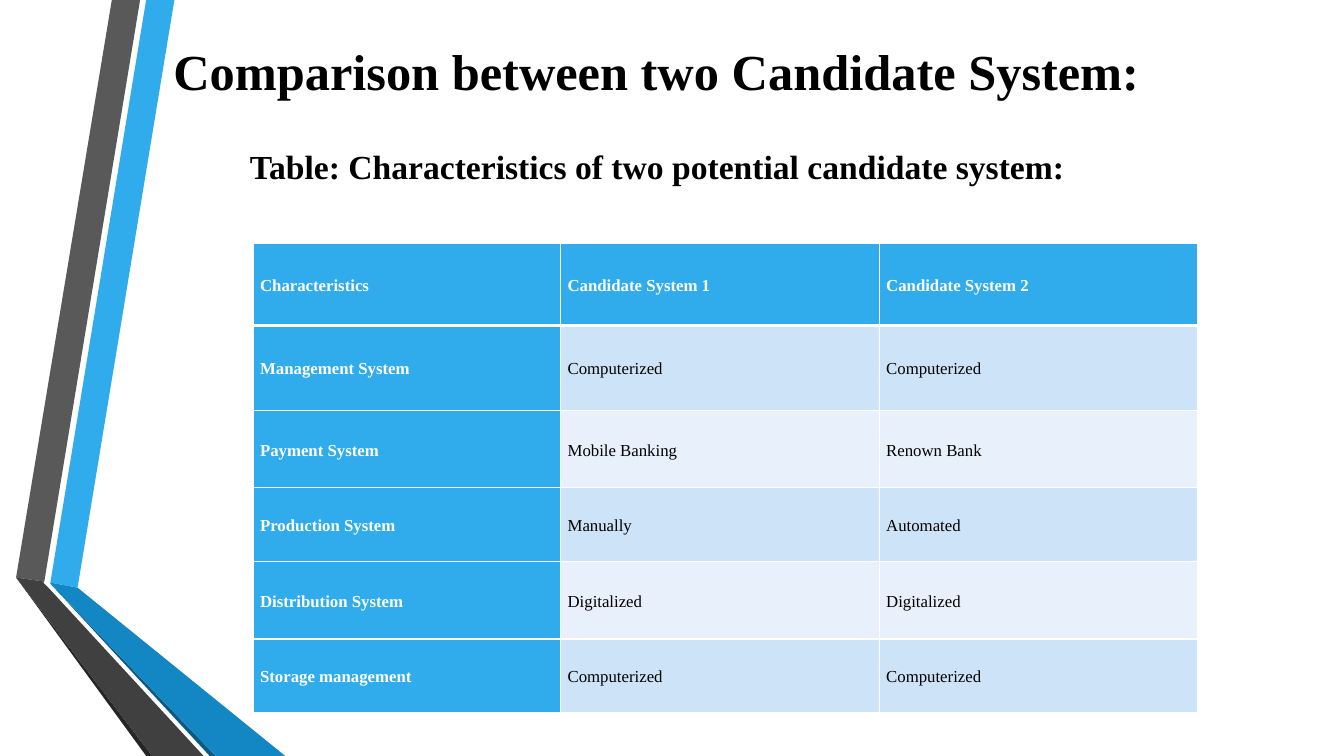
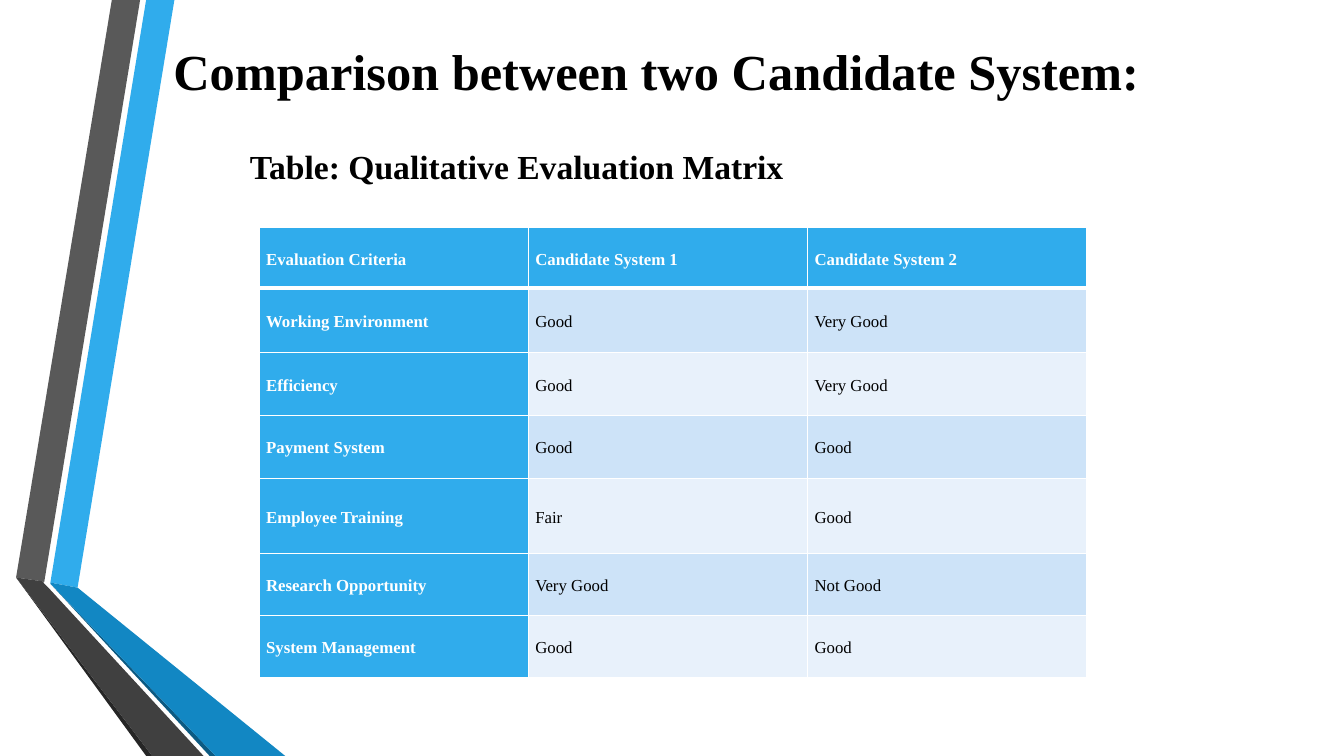
from lxml import etree
from pptx import Presentation
from pptx.dml.color import RGBColor
from pptx.enum.text import MSO_ANCHOR, PP_ALIGN
from pptx.oxml.ns import qn
from pptx.util import Inches, Pt

MIDDLE = MSO_ANCHOR.MIDDLE
JUSTIFY = PP_ALIGN.JUSTIFY
BLANK_LAYOUT = 6

# Colours
BLACK = RGBColor(0x00, 0x00, 0x00)
WHITE = RGBColor(0xFF, 0xFF, 0xFF)
BLUE = RGBColor(0x30, 0xAC, 0xEC)
MID_BLUE = RGBColor(0x12, 0x87, 0xC3)
DEEP_BLUE = RGBColor(0x0C, 0x5A, 0x82)
GREY = RGBColor(0x59, 0x59, 0x59)
DARK_GREY = RGBColor(0x40, 0x40, 0x40)
CHARCOAL = RGBColor(0x26, 0x26, 0x26)
ROW_TINTS = (RGBColor(0xCD, 0xE3, 0xF8), RGBColor(0xE8, 0xF1, 0xFB))

# Folded ribbons at the left edge, back to front, as outlines in inches
RIBBONS = (
    (BLUE, ((0.5, 5.78), (0.77, 5.83), (1.73, 0), (1.45, 0))),
    (GREY, ((1.39, 0), (1.11, 0), (0.16, 5.73), (0.44, 5.77))),
    (CHARCOAL, ((0.16, 5.73), (1.45, 7.5), (1.51, 7.5))),
    (DEEP_BLUE, ((0.5, 5.79), (2.08, 7.5), (2.14, 7.5))),
    (MID_BLUE, ((0.5, 5.79), (2.14, 7.5), (2.83, 7.5), (0.77, 5.83), (0.5, 5.78))),
    (DARK_GREY, ((2.02, 7.5), (0.48, 5.83), (0.43, 5.78), (0.44, 5.77),
                 (0.16, 5.73), (1.51, 7.5))),
)


class Deck:
    font_name = "Times New Roman"

    def __init__(self):
        self.presentation = Presentation()
        self.presentation.slide_width = Inches(13.33)
        self.presentation.slide_height = Inches(7.5)
        self.slide = None

    def add_slide(self, title):
        layout = self.presentation.slide_layouts[BLANK_LAYOUT]
        self.slide = self.presentation.slides.add_slide(layout)
        for color, points in RIBBONS:
            self.add_ribbon(color, points)
        self.add_text(title, 1.62, 0.35, 10.38, 0.71, 36)

    def add_ribbon(self, color, points):
        corners = [(Inches(x), Inches(y)) for x, y in points]
        builder = self.slide.shapes.build_freeform(*corners[0])
        builder.add_line_segments(corners[1:], close=True)
        shape = builder.convert_to_shape()
        shape.shadow.inherit = False
        shape.fill.solid()
        shape.fill.fore_color.rgb = color
        shape.line.fill.background()

    def style_paragraph(self, paragraph, size, color=BLACK, bold=True):
        font = paragraph.font
        font.name = self.font_name
        font.size = Pt(size)
        font.bold = bold
        font.color.rgb = color

    def add_text(self, text, left, top, width, height, size):
        box = self.slide.shapes.add_textbox(
            Inches(left), Inches(top), Inches(width), Inches(height))
        frame = box.text_frame
        frame.word_wrap = True
        frame.text = text
        self.style_paragraph(frame.paragraphs[0], size)

    def add_subtitle(self, text):
        self.add_text(text, 2.38, 1.4, 8.56, 0.5, 24)

    def add_table(self, left, top, column_widths, row_heights, rows):
        table = self.slide.shapes.add_table(
            len(rows), len(column_widths), Inches(left), Inches(top),
            Inches(sum(column_widths)), Inches(sum(row_heights))).table
        table.first_col = True
        for column, width in zip(table.columns, column_widths):
            column.width = Inches(width)
        for row, height in zip(table.rows, row_heights):
            row.height = Inches(height)
        for row_index, texts in enumerate(rows):
            for column_index, text in enumerate(texts):
                cell = table.cell(row_index, column_index)
                self.fill_cell(cell, text, row_index, column_index)

    def fill_cell(self, cell, text, row_index, column_index):
        is_heading = row_index == 0 or column_index == 0
        cell.margin_left = cell.margin_right = Inches(0.07)
        cell.margin_top = cell.margin_bottom = 0
        cell.vertical_anchor = MIDDLE
        # The rule under the heading row is thicker than the others
        self.add_borders(cell, top=3 if row_index == 1 else 1,
                         bottom=3 if row_index == 0 else 1)
        cell.fill.solid()
        cell.fill.fore_color.rgb = BLUE if is_heading else ROW_TINTS[(row_index - 1) % 2]
        cell.text = text
        paragraph = cell.text_frame.paragraphs[0]
        paragraph.alignment = JUSTIFY
        paragraph.line_spacing = 1.15
        self.style_paragraph(paragraph, 12, WHITE if is_heading else BLACK, is_heading)

    def add_borders(self, cell, top, bottom):
        properties = cell._tc.get_or_add_tcPr()
        for side, width in (("L", 1), ("R", 1), ("T", top), ("B", bottom)):
            line = etree.SubElement(properties, qn(f"a:ln{side}"), w=str(Pt(width)))
            fill = etree.SubElement(line, qn("a:solidFill"))
            etree.SubElement(fill, qn("a:srgbClr"), val=str(WHITE))


def main():
    deck = Deck()
    title = "Comparison between two Candidate System:"
    systems = ("Candidate System 1", "Candidate System 2")

    # Characteristics
    deck.add_slide(title)
    deck.add_table(2.51, 2.41, (3.05, 3.16, 3.16), (0.82, 0.84, 0.77, 0.73, 0.77, 0.73), (
        ("Characteristics", *systems),
        ("Management System", "Computerized", "Computerized"),
        ("Payment System", "Mobile Banking", "Renown Bank"),
        ("Production System", "Manually", "Automated"),
        ("Distribution System", "Digitalized", "Digitalized"),
        ("Storage management", "Computerized", "Computerized"),
    ))
    deck.add_subtitle("Table: Characteristics of two potential candidate system:")

    # Evaluation matrix
    deck.add_slide(title)
    deck.add_subtitle("Table: Qualitative Evaluation Matrix")
    deck.add_table(2.57, 2.26, (2.67, 2.77, 2.77), (0.6, 0.64, 0.62, 0.63, 0.74, 0.62, 0.61), (
        ("Evaluation Criteria", *systems),
        ("Working Environment", "Good", "Very Good"),
        ("Efficiency", "Good", "Very Good"),
        ("Payment System", "Good", "Good"),
        ("Employee Training", "Fair", "Good"),
        ("Research Opportunity", "Very Good", "Not Good"),
        ("System Management", "Good", "Good"),
    ))

    deck.presentation.save("out.pptx")


if __name__ == "__main__":
    main()
